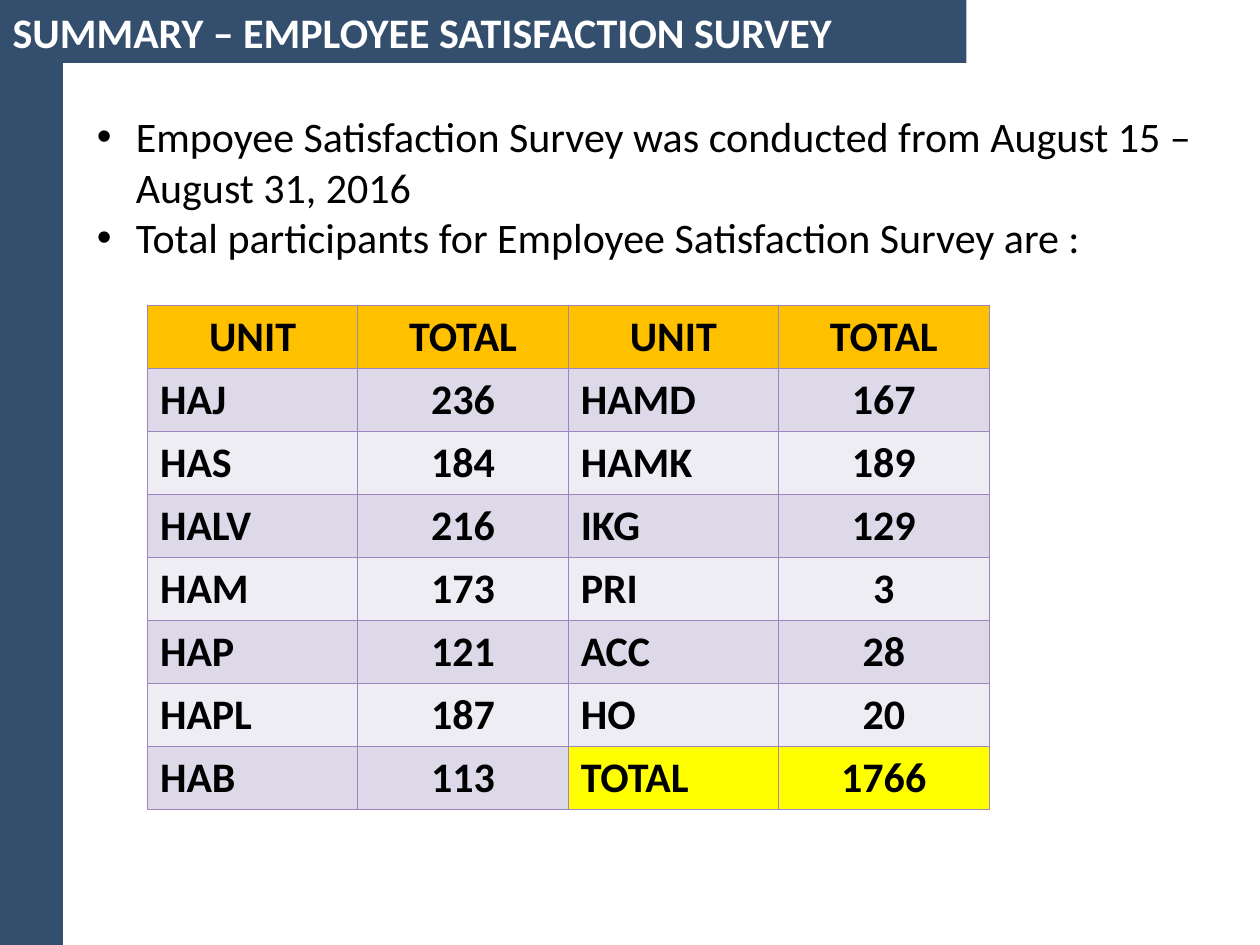
from lxml import etree
from pptx import Presentation
from pptx.dml.color import RGBColor
from pptx.enum.shapes import MSO_SHAPE
from pptx.enum.text import MSO_ANCHOR, MSO_AUTO_SIZE, PP_ALIGN
from pptx.oxml.ns import qn
from pptx.util import Emu, Inches, Pt

TITLE = "SUMMARY – EMPLOYEE SATISFACTION SURVEY"
BULLETS = [
    "Empoyee Satisfaction Survey was conducted from August 15 – August 31, 2016",
    "Total participants for Employee Satisfaction Survey are :",
]
ROWS = [
    ("UNIT", "TOTAL", "UNIT", "TOTAL"),
    ("HAJ", "236", "HAMD", "167"),
    ("HAS", "184", "HAMK", "189"),
    ("HALV", "216", "IKG", "129"),
    ("HAM", "173", "PRI", "3"),
    ("HAP", "121", "ACC", "28"),
    ("HAPL", "187", "HO", "20"),
    ("HAB", "113", "TOTAL", "1766"),
]

NAVY = RGBColor(0x34, 0x4E, 0x6D)
WHITE = RGBColor(0xFF, 0xFF, 0xFF)
BLACK = RGBColor(0, 0, 0)
AMBER = RGBColor(0xFF, 0xC0, 0x00)
YELLOW = RGBColor(0xFF, 0xFF, 0x00)
LILAC = RGBColor(0xDE, 0xD9, 0xE8)
PALE_LILAC = RGBColor(0xEF, 0xED, 0xF4)
PURPLE = RGBColor(0x9C, 0x85, 0xC0)

RECTANGLE = MSO_SHAPE.RECTANGLE
MIDDLE = MSO_ANCHOR.MIDDLE
NO_AUTOFIT = MSO_AUTO_SIZE.NONE
LEFT, CENTER = PP_ALIGN.LEFT, PP_ALIGN.CENTER

BAND = Inches(0.5)
COLUMN_WIDTH = Inches(1.67)
TABLE_LEFT, TABLE_TOP = Inches(1.17), Inches(2.42)
BULLET_INDENT = Inches(0.31)
BORDER_WIDTH = Pt(0.45)


def style(paragraph, color, bold=False, alignment=LEFT):
    paragraph.alignment = alignment
    font = paragraph.font
    font.name, font.size, font.bold = "Calibri", Pt(24), bold
    font.color.rgb = color


def add_bullet(paragraph):
    properties = paragraph._p.get_or_add_pPr()
    properties.set("marL", str(BULLET_INDENT))
    properties.set("indent", str(-BULLET_INDENT))
    etree.SubElement(properties, qn("a:buFont"), typeface="Arial")
    etree.SubElement(properties, qn("a:buChar"), char="•")


def add_borders(cell):
    properties = cell._tc.get_or_add_tcPr()
    for side in ("lnL", "lnR", "lnT", "lnB"):
        line = etree.SubElement(properties, qn(f"a:{side}"), w=str(BORDER_WIDTH))
        fill = etree.SubElement(line, qn("a:solidFill"))
        etree.SubElement(fill, qn("a:srgbClr"), val=str(PURPLE))


def cell_color(row, column):
    if row == 0:
        return AMBER
    if row == len(ROWS) - 1 and column >= 2:
        return YELLOW
    return LILAC if row % 2 else PALE_LILAC


def add_title(slide):
    title = slide.shapes.title
    title.left, title.top = Emu(0), Emu(0)
    title.width, title.height = Inches(7.67), BAND
    title.fill.solid()
    title.fill.fore_color.rgb = NAVY
    frame = title.text_frame
    frame.text = TITLE
    frame.auto_size = NO_AUTOFIT
    frame.vertical_anchor = MIDDLE
    style(frame.paragraphs[0], WHITE, bold=True)


def add_sidebar(slide, height):
    sidebar = slide.shapes.add_shape(RECTANGLE, 0, 0, BAND, height)
    sidebar.shadow.inherit = False
    sidebar.fill.solid()
    sidebar.fill.fore_color.rgb = NAVY
    sidebar.line.fill.background()
    slide.shapes.title._element.addprevious(sidebar._element)


def add_bullets(slide):
    box = slide.shapes.add_textbox(Inches(0.67), Inches(0.83), Inches(9.08), Inches(6.5))
    frame = box.text_frame
    frame.word_wrap = True
    frame.text = "\n".join(BULLETS)
    for paragraph in frame.paragraphs:
        add_bullet(paragraph)
        style(paragraph, BLACK)


def add_survey_table(slide):
    row_count, column_count = len(ROWS), len(ROWS[0])
    table = slide.shapes.add_table(
        row_count, column_count, TABLE_LEFT, TABLE_TOP,
        COLUMN_WIDTH * column_count, BAND * row_count,
    ).table
    for column in table.columns:
        column.width = COLUMN_WIDTH
    for row, values in enumerate(ROWS):
        for column, value in enumerate(values):
            cell = table.cell(row, column)
            cell.text = value
            add_borders(cell)
            cell.fill.solid()
            cell.fill.fore_color.rgb = cell_color(row, column)
            alignment = CENTER if row == 0 or column % 2 else LEFT
            style(cell.text_frame.paragraphs[0], BLACK, bold=True, alignment=alignment)


def main():
    presentation = Presentation()
    presentation.slide_width, presentation.slide_height = Inches(10), Inches(7.5)
    slide = presentation.slides.add_slide(presentation.slide_layouts.get_by_name("Title Only"))
    add_title(slide)
    add_sidebar(slide, presentation.slide_height)
    add_bullets(slide)
    add_survey_table(slide)
    presentation.save("out.pptx")


if __name__ == "__main__":
    main()
